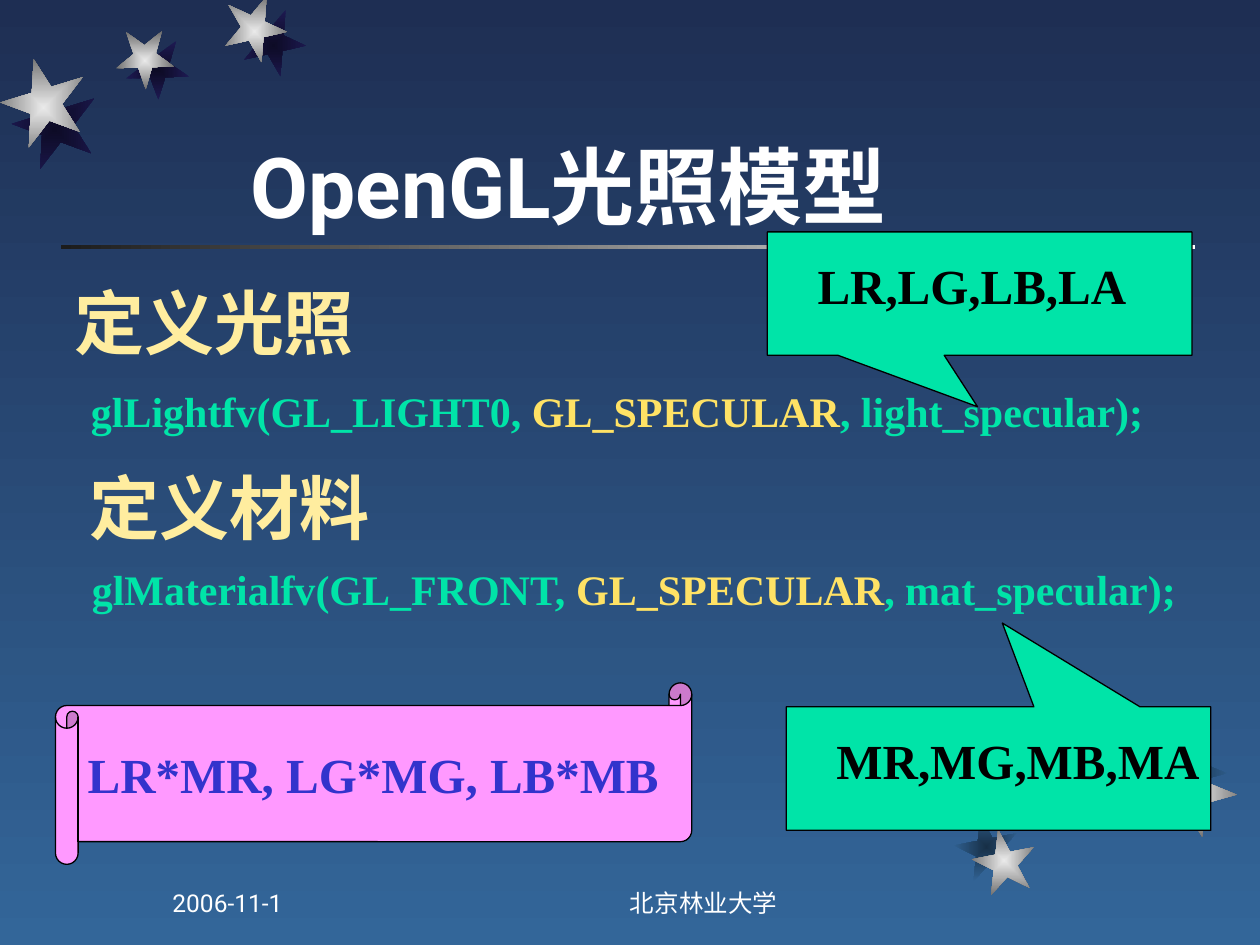
from lxml import etree
from pptx import Presentation
from pptx import util as u
from pptx.dml import color
from pptx.enum import shapes, text
from pptx.oxml import ns

COLUMNS, ROWS = 100, 75
SERIF, SANS = "Times New Roman", "Roboto"
WHITE, BLACK, GREEN, GOLD, CREAM = "FFFFFF", "000000", "00E4A8", "FFE265", "FFED9F"
PINK, BLUE = "FF99FF", "3333CC"
SKY = ("1E2E53", "336699")
NIGHT, SILVER, DUSK = ("0D0B26", "1E1A53"), ("EAEAEA", "6B6B6B"), ("172F46", "336699")


def rgb(value):
    return color.RGBColor.from_string(value)


def write(frame, *pieces, size, font=SERIF, bold=True, align=text.PP_ALIGN.LEFT,
          anchor=text.MSO_ANCHOR.TOP, wrap=False):
    frame.word_wrap = wrap
    frame.vertical_anchor = anchor
    para = frame.paragraphs[0]
    para.alignment = align
    for words, tint in pieces:
        span = para.add_run()
        span.text = words
        span.font.size = u.Pt(size)
        span.font.name = font
        span.font.bold = bold
        span.font.color.rgb = rgb(tint)


class SlideBuilder:
    def __init__(self):
        self.deck = Presentation()
        self.deck.slide_width, self.deck.slide_height = u.Inches(10), u.Inches(7.5)
        self.page = self.deck.slides.add_slide(self.deck.slide_layouts[6])

    def place(self, left, top, width, height):
        across = self.deck.slide_width / COLUMNS
        down = self.deck.slide_height / ROWS
        return [round(n) for n in (left * across, top * down, width * across, height * down)]

    def gradient(self, fill, tints, angle=0):
        fill.gradient()
        fill.gradient_angle = angle
        for stop, tint in zip(fill.gradient_stops, tints):
            stop.color.rgb = rgb(tint)

    def background(self, tints):
        self.gradient(self.page.background.fill, tints, 270)

    def shape(self, kind, area, tint=None, adjust=()):
        shape = self.page.shapes.add_shape(kind, *self.place(*area))
        shape.shadow.inherit = False
        for index, value in enumerate(adjust):
            shape.adjustments[index] = value
        if tint:
            shape.fill.solid()
            shape.fill.fore_color.rgb = rgb(tint)
            shape.line.color.rgb = rgb(BLACK)
            shape.line.width = u.Pt(0.75)
        else:
            shape.line.fill.background()
        return shape

    def rule(self, area, tints):
        bar = self.shape(shapes.MSO_SHAPE.RECTANGLE, area)
        self.gradient(bar.fill, tints, 180)

    def star(self, left, top, width, height, turn, tints):
        star = self.shape(shapes.MSO_SHAPE.STAR_5_POINT, (left, top, width, height))
        star.rotation = turn
        self.gradient(star.fill, tints)
        linear = star.element.spPr.find(".//" + ns.qn("a:lin"))
        radial = etree.Element(ns.qn("a:path"), {"path": "rect"})
        etree.SubElement(radial, ns.qn("a:fillToRect"), dict.fromkeys("ltrb", "50000"))
        linear.getparent().replace(linear, radial)

    def label(self, area, *pieces, **style):
        box = self.page.shapes.add_textbox(*self.place(*area))
        write(box.text_frame, *pieces, **style)
        if not style.get("wrap"):
            box.text_frame.auto_size = text.MSO_AUTO_SIZE.SHAPE_TO_FIT_TEXT

    def callout(self, left, top, width, words, adjust):
        kind = shapes.MSO_SHAPE.RECTANGULAR_CALLOUT
        self.shape(kind, (left, top, 33.7, 9.8), GREEN, adjust)
        self.label((left + 3, top + 1.35, width, 5.7), (words, BLACK), size=28)

    def scroll(self, area, words):
        scroll = self.shape(shapes.MSO_SHAPE.HORIZONTAL_SCROLL, area, PINK, [0.125])
        write(scroll.text_frame, (words, BLUE), size=28, align=text.PP_ALIGN.CENTER,
              anchor=text.MSO_ANCHOR.MIDDLE)


def main():
    slide = SlideBuilder()
    slide.background(SKY)
    slide.rule((4.85, 19.45, 90, 0.35), (WHITE, "1C1C1C"))

    star_groups = [
        (NIGHT, [(19.2, 1.1, 5, 5, 167.3), (10, 3.3, 5, 4.6, 178.3),
                 (1, 6.9, 6.7, 6.7, 200.3)]),
        (SILVER, [(17.7, 0, 5, 5, 167.3), (9.2, 2.5, 4.6, 4.6, 178.3),
                  (0.1, 5.2, 6.7, 6.7, 200.3)]),
        (DUSK, [(75.8, 64.7, 5, 5, 349), (84.1, 58.5, 4.6, 4.6, 0),
                (90.6, 57.5, 6.7, 6.7, 22)]),
        (SILVER, [(77.2, 65.8, 5, 5, 349), (84.9, 59.4, 4.6, 4.6, 0),
                  (91.4, 59.2, 6.7, 6.7, 22)]),
    ]
    for tints, stars in star_groups:
        for star in stars:
            slide.star(*star, tints)

    bottom, center = text.MSO_ANCHOR.BOTTOM, text.PP_ALIGN.CENTER
    slide.label((18.9, 8.6, 58.5, 10.6), ("OpenGL光照模型", WHITE), size=48, font=SANS,
                anchor=bottom, wrap=True)

    for left, top, words in [(4.9, 21.7, "定义光照"), (6.1, 36.4, "定义材料")]:
        slide.label((left, top, 24.2, 7.7), (words, CREAM), size=40)

    calls = [
        ((6.3, 44.2, 89.1, 5), "glMaterialfv(GL_FRONT, ", ", mat_specular);"),
        ((5.4, 30.1, 87, 5), " glLightfv(GL_LIGHT0, ", ", light_specular);"),
    ]
    for area, start, end in calls:
        slide.label(area, (start, GREEN), ("GL_SPECULAR", GOLD), (end, GREEN), size=24)

    slide.callout(60.9, 18.4, 26.5, "LR,LG,LB,LA", (-0.005, 0.916))
    slide.callout(62.4, 56.1, 30.8, "MR,MG,MB,MA", (0.009, -1.179))
    slide.scroll((4.4, 54.2, 50.5, 14.4), "LR*MR, LG*MG, LB*MB ")

    footer = dict(size=14, font=SANS, bold=False, anchor=bottom, wrap=True)
    slide.label((40, 68.3, 31.7, 5), ("北京林业大学", WHITE), align=center, **footer)
    slide.label((12.7, 68.3, 20.8, 5), ("2006-11-1", WHITE), **footer)

    slide.deck.save("out.pptx")


if __name__ == "__main__":
    main()
